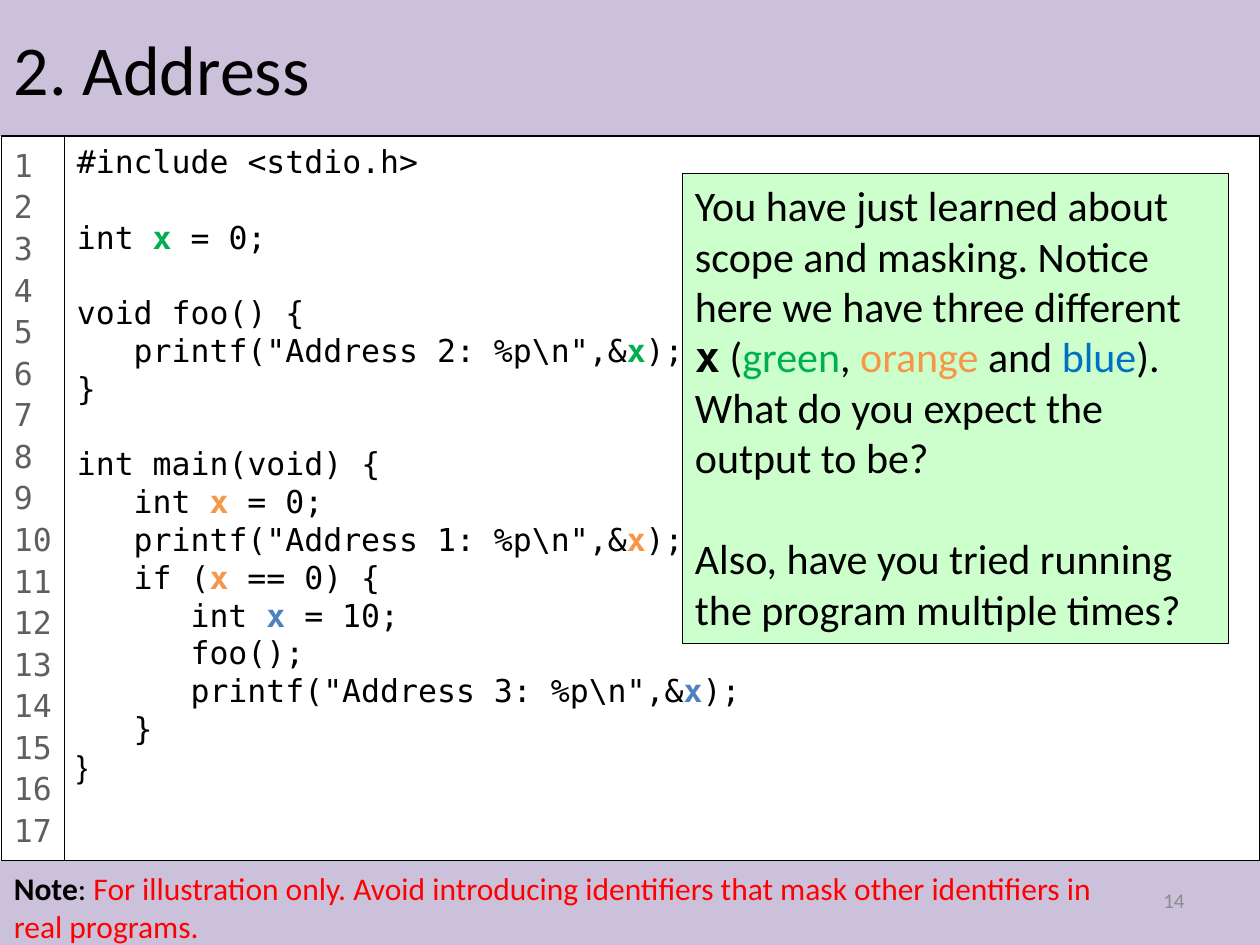
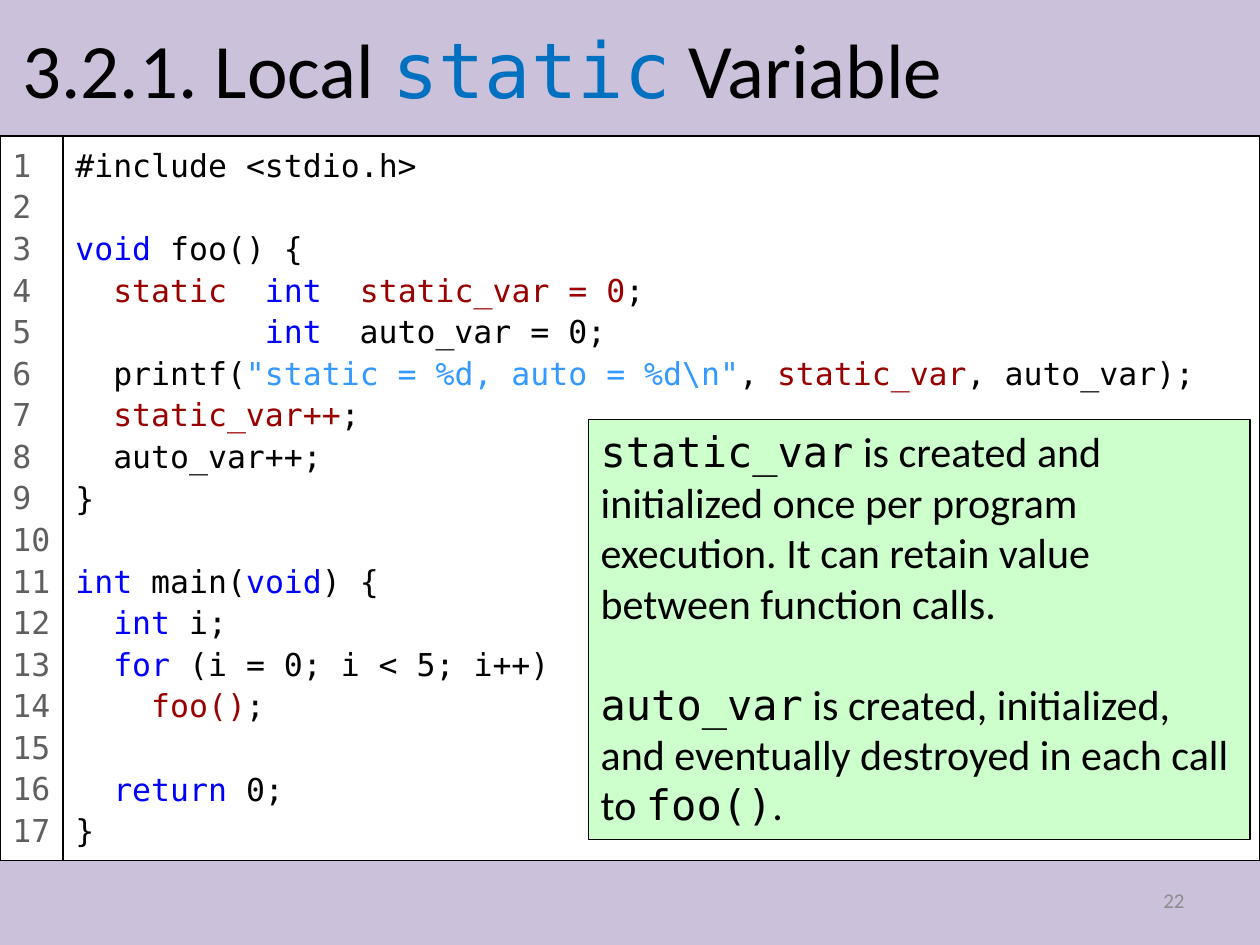
from pptx import Presentation
from pptx.dml.color import RGBColor
from pptx.enum.shapes import MSO_SHAPE
from pptx.enum.text import MSO_ANCHOR, PP_ALIGN
from pptx.util import Cm, Pt

RECT = MSO_SHAPE.RECTANGLE
TOP, MIDDLE = MSO_ANCHOR.TOP, MSO_ANCHOR.MIDDLE
LEFT, RIGHT = PP_ALIGN.LEFT, PP_ALIGN.RIGHT
SANS, MONO = "Calibri", "DejaVu Sans Mono"
WIDE, HIGH = 25.4, 19.05
HEAD, FOOT = 2.74, 17.35
RAIL = 1.27
CHAR = 0.382

COLORS = {
    "band": "CCC1DA", "white": "FFFFFF", "black": "000000", "mint": "CCFFCC",
    "gray": "5F5F5F", "page": "8C8C8C", "green": "00B050", "orange": "F79646",
    "blue": "0070C0", "steel": "4F81BD", "key": "0000FF", "red": "FF0000",
    "dark": "990000", "sky": "3399FF",
}

STYLES = {
    "gx": {"color": "green", "bold": True},
    "ox": {"color": "orange", "bold": True},
    "sx": {"color": "steel", "bold": True},
    "bold": {"bold": True},
    "mono": {"name": MONO},
    "mx": {"name": MONO, "bold": True},
    "arial": {"name": "Arial"},
    "static": {"name": MONO, "color": "blue"},
    **{key: {"color": key} for key in COLORS},
}

TITLE = {"name": SANS, "size": Pt(40), "color": "black"}
BIG = {**TITLE, "size": Pt(44)}
BODY = {**TITLE, "size": Pt(24)}
NOTE = {**TITLE, "size": Pt(18)}
CODE = {**NOTE, "name": MONO}
COUNT = {**CODE, "color": "gray"}
PAGE = {"name": SANS, "size": Pt(12), "color": "page"}

ADDRESS = [
    [(0, "#include <stdio.h>")],
    [(0, "int |gx:x| = 0;")],
    [(0, "void foo() {"),
     (1, r'printf("Address 2: %p\n",&|gx:x|);'),
     (0, "}")],
    [(0, "int main(void) {"),
     (1, "int |ox:x| = 0;"),
     (1, r'printf("Address 1: %p\n",&|ox:x|);'),
     (1, "if (|ox:x| == 0) {"),
     (2, "int |sx:x| = 10;"),
     (2, "foo();"),
     (2, r'printf("Address 3: %p\n",&|sx:x|);'),
     (1, "}"),
     (0, "|arial:}|")],
]

LOCAL = [
    [(0, "#include <stdio.h>")],
    [(0, "|key:void| foo() {"),
     (1, "|dark:static|  |key:int|  |dark:static_var = 0|;"),
     (5, "|key:int|  auto_var = 0;"),
     (1, r'printf(|sky:"static = %d, auto = %d\n"|, |dark:static_var|, auto_var);'),
     (1, "|dark:static_var++|;"),
     (1, "auto_var++;"),
     (0, "}")],
    [(0, "|key:int| main(|key:void|) {"),
     (1, "|key:int| i;"),
     (1, "|key:for| (i = 0; i < 5; i++)"),
     (2, "|dark:foo()|;")],
    [(1, "|key:return| 0;"),
     (0, "}")],
]

SCOPE = [
    [(0, "You have just learned about scope and masking. Notice here we have "
         "three different |mx:x| (|green:green|, |orange:orange| and |blue:blue|). "
         "What do you expect the output to be?")],
    [(0, "Also, have you tried running the program multiple times?")],
]

LIFE = [
    [(0, "|mono:static_var| is created and initialized once per program "
         "execution. It can retain value between function calls.")],
    [(0, "|mono:auto_var| is created, initialized, and eventually destroyed "
         "in each call to |mono:foo()|.")],
]

WARN = ("|bold:Note|: |red:For illustration only. Avoid introducing identifiers "
        "that mask other identifiers in real programs.|")


def tint(key):
    return RGBColor.from_string(COLORS[key])


def style(run, form):
    for name, value in form.items():
        if name == "color":
            run.font.color.rgb = tint(value)
        else:
            setattr(run.font, name, value)


def write(shape, blocks, form, gap=0, pitch=None, step=0, anchor=TOP, align=LEFT):
    frame = shape.text_frame
    frame.word_wrap = True
    frame.vertical_anchor = anchor
    para = None
    for block in blocks:
        for row, (level, text) in enumerate(block):
            fresh = para is None
            para = frame.paragraphs[0] if fresh else frame.add_paragraph()
            para.alignment = align
            if pitch:
                para.line_spacing = pitch
            if row == 0 and not fresh:
                para.space_before = Pt(gap)
            if level:
                props = para._p.get_or_add_pPr()
                props.set("marL", str(Cm(level * step * CHAR)))
                props.set("indent", "0")
            for spot, part in enumerate(text.split("|")):
                look = {}
                if spot % 2:
                    key, _, part = part.partition(":")
                    look = STYLES[key]
                if part:
                    run = para.add_run()
                    run.text = part
                    style(run, {**form, **look})


def panel(slide, place, fill, line=True):
    shape = slide.shapes.add_shape(RECT, *map(Cm, place))
    shape.shadow.inherit = False
    shape.fill.solid()
    shape.fill.fore_color.rgb = tint(fill)
    if line:
        shape.line.color.rgb = tint("black")
        shape.line.width = Pt(0.75)
    else:
        shape.line.fill.background()
    return shape


def label(slide, place, text, form, **opts):
    shape = slide.shapes.add_textbox(*map(Cm, place))
    write(shape, [[(0, text)]], form, **opts)


def base(deck, page):
    slide = deck.slides.add_slide(deck.slide_layouts[6])
    panel(slide, (0, 0, WIDE, HEAD), "band", False)
    panel(slide, (0, FOOT, WIDE, HIGH - FOOT), "band", False)
    label(slide, (18.2, 17.65, 5.93, 1.01), page, PAGE, anchor=MIDDLE, align=RIGHT)
    return slide


def listing(slide, left, blocks, **opts):
    edge = left + RAIL
    code = panel(slide, (edge, HEAD, WIDE - edge, FOOT - HEAD), "white")
    write(code, blocks, CODE, **opts)
    rail = panel(slide, (left, HEAD, RAIL, FOOT - HEAD), "white")
    rail.text_frame.margin_right = 0
    write(rail, [[(0, str(num)) for num in range(1, 18)]], COUNT, pitch=1.1)


def callout(slide, place, blocks):
    write(panel(slide, place, "mint"), blocks, BODY, gap=29)


def main():
    deck = Presentation()
    deck.slide_width, deck.slide_height = Cm(WIDE), Cm(HIGH)

    slide = base(deck, "14")
    listing(slide, 0.03, ADDRESS, gap=21.6, step=3)
    label(slide, (0.03, 0, 25.37, HEAD), "2. Address", TITLE, anchor=MIDDLE)
    callout(slide, (13.76, 3.5, 11, 9.47), SCOPE)
    label(slide, (0.03, 17.4, 22.78, 1.8), WARN, NOTE)

    slide = base(deck, "22")
    label(slide, (0.2, 0.2, 22.86, 2.34), "3.2.1. Local |static:static| Variable",
          BIG, anchor=MIDDLE)
    listing(slide, 0, LOCAL, gap=23.8, pitch=1.1, step=2)
    callout(slide, (11.86, 8.46, 13.34, 8.46), LIFE)

    deck.save("out.pptx")


if __name__ == "__main__":
    main()
